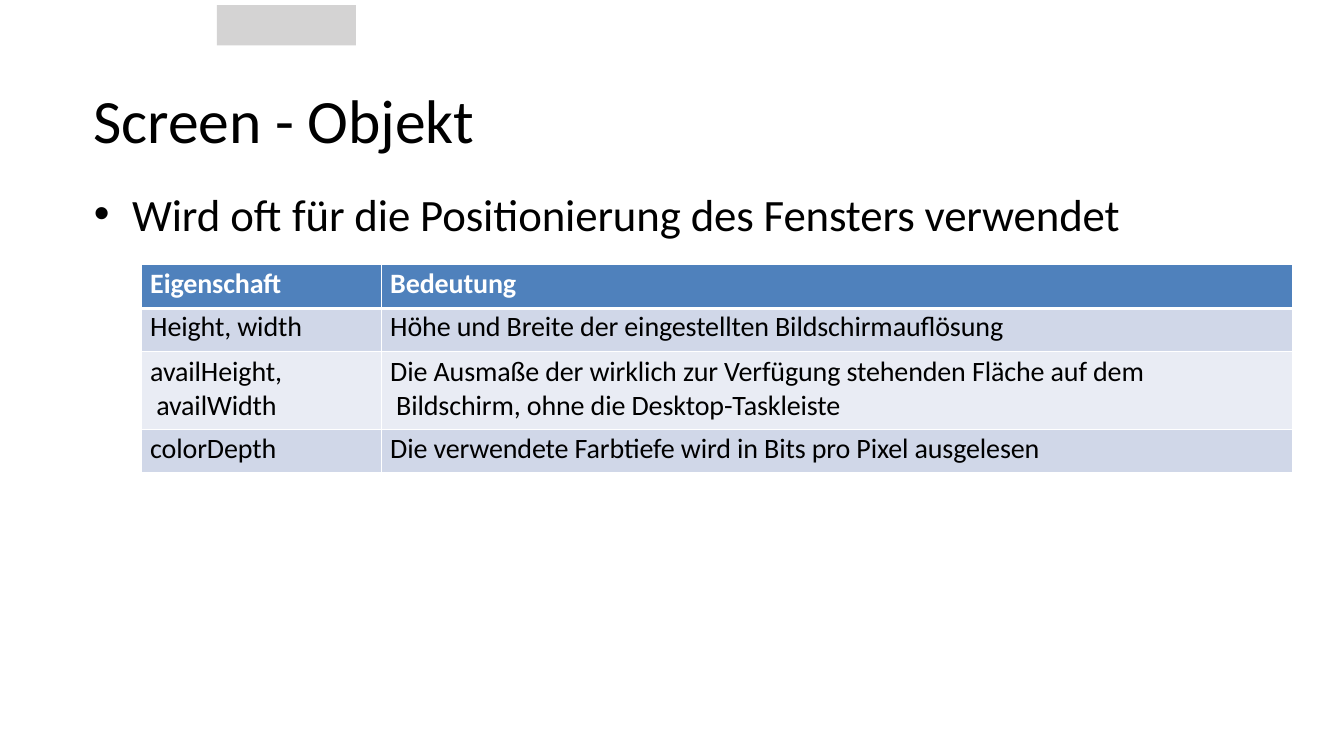
from pptx import Presentation
from pptx.dml.color import RGBColor
from pptx.enum.shapes import MSO_SHAPE
from pptx.enum.text import MSO_ANCHOR, MSO_AUTO_SIZE, PP_ALIGN
from pptx.oxml import parse_xml
from pptx.oxml.ns import nsdecls
from pptx.util import Inches, Pt


def color(code):
    return RGBColor.from_string(code)


def write(frame, text, size=20, ink="000000", bold=False, left=0, first=0,
          bullet=None, font="Calibri"):
    para = frame.paragraphs[0]
    para.text = text
    para.alignment = PP_ALIGN.LEFT
    para.space_before = Pt(0)
    props = para._p.get_or_add_pPr()
    props.set("marL", str(Inches(left)))
    props.set("indent", str(Inches(first)))
    if bullet:
        props.append(parse_xml(f'<a:buChar {nsdecls("a")} char="{bullet}"/>'))
    for run in para.runs:
        run.font.name = font
        run.font.size = Pt(size)
        run.font.bold = bold
        run.font.color.rgb = color(ink)
        run._r.get_or_add_rPr().set("spc", "-10")


class Page:
    head, band, pale, line = "4F81BC", "D0D7E8", "E9ECF4", "FFFFFF"

    def __init__(self, deck):
        self.slide = deck.slides.add_slide(deck.slide_layouts[1])

    def block(self, x, y, w, h, fill):
        box = self.slide.shapes.add_shape(
            MSO_SHAPE.RECTANGLE, Inches(x), Inches(y), Inches(w), Inches(h))
        box.shadow.inherit = False
        box.fill.solid()
        box.fill.fore_color.rgb = color(fill)
        box.line.fill.background()

    def holder(self, index, text, x, y, w, h, anchor, **style):
        box = self.slide.placeholders[index]
        box.left, box.top = Inches(x), Inches(y)
        box.width, box.height = Inches(w), Inches(h)
        frame = box.text_frame
        frame.margin_left = frame.margin_right = 0
        frame.margin_top = frame.margin_bottom = 0
        frame.word_wrap = True
        frame.auto_size = MSO_AUTO_SIZE.NONE
        frame.vertical_anchor = anchor
        write(frame, text, **style)

    def border(self, cell, top, bottom):
        props = cell._tc.get_or_add_tcPr()
        sides = {"L": 1, "R": 1, "T": top, "B": bottom}
        for spot, (side, width) in enumerate(sides.items()):
            props.insert(spot, parse_xml(
                f'<a:ln{side} {nsdecls("a")} w="{Pt(width)}"><a:solidFill>'
                f'<a:srgbClr val="{self.line}"/></a:solidFill></a:ln{side}>'))

    def table(self, rows, x, y, widths, heights):
        grid = self.slide.shapes.add_table(
            len(rows), len(widths), Inches(x), Inches(y),
            Inches(sum(widths)), Inches(sum(heights))).table
        for col, width in zip(grid.columns, widths):
            col.width = Inches(width)
        for r, (row, height) in enumerate(zip(rows, heights)):
            grid.rows[r].height = Inches(height)
            fill = self.head if r == 0 else self.band if r % 2 else self.pale
            for c, text in enumerate(row):
                cell = grid.cell(r, c)
                cell.margin_left = cell.margin_right = cell.margin_bottom = 0
                cell.margin_top = Pt(0.8 if r == 1 else 1.9)
                cell.fill.solid()
                cell.fill.fore_color.rgb = color(fill)
                self.border(cell, 3 if r == 1 else 1, 3 if r == 0 else 1)
                # Wrapped lines hang slightly to the right
                write(cell.text_frame, text, bold=r == 0, left=0.15,
                      first=-0.06, ink="FFFFFF" if r == 0 else "000000")


def main():
    deck = Presentation()
    deck.slide_width, deck.slide_height = Inches(13.33), Inches(7.5)
    page = Page(deck)

    # Header block
    page.block(2.15, 0.05, 1.38, 0.4, "D4D3D3")

    # Title and bullet
    page.holder(0, "Screen - Objekt", 0.92, 0.5, 11.5, 1.35,
                MSO_ANCHOR.MIDDLE, size=44, left=0.01)
    page.holder(1, "Wird oft für die Positionierung des Fensters verwendet",
                0.92, 1.85, 10.3, 0.57, MSO_ANCHOR.TOP,
                size=32, left=0.39, first=-0.38, bullet="•")

    # Table of properties
    rows = [
        ("Eigenschaft", "Bedeutung"),
        ("Height, width",
         "Höhe und Breite der eingestellten Bildschirmauflösung"),
        ("availHeight,\vavailWidth",
         "Die Ausmaße der wirklich zur Verfügung stehenden Fläche auf dem\v"
         "Bildschirm, ohne die Desktop-Taskleiste"),
        ("colorDepth",
         "Die verwendete Farbtiefe wird in Bits pro Pixel ausgelesen"),
    ]
    page.table(rows, 1.4, 2.62, (2.38, 9.04), (0.44, 0.43, 0.77, 0.43))

    deck.save("out.pptx")


if __name__ == "__main__":
    main()
